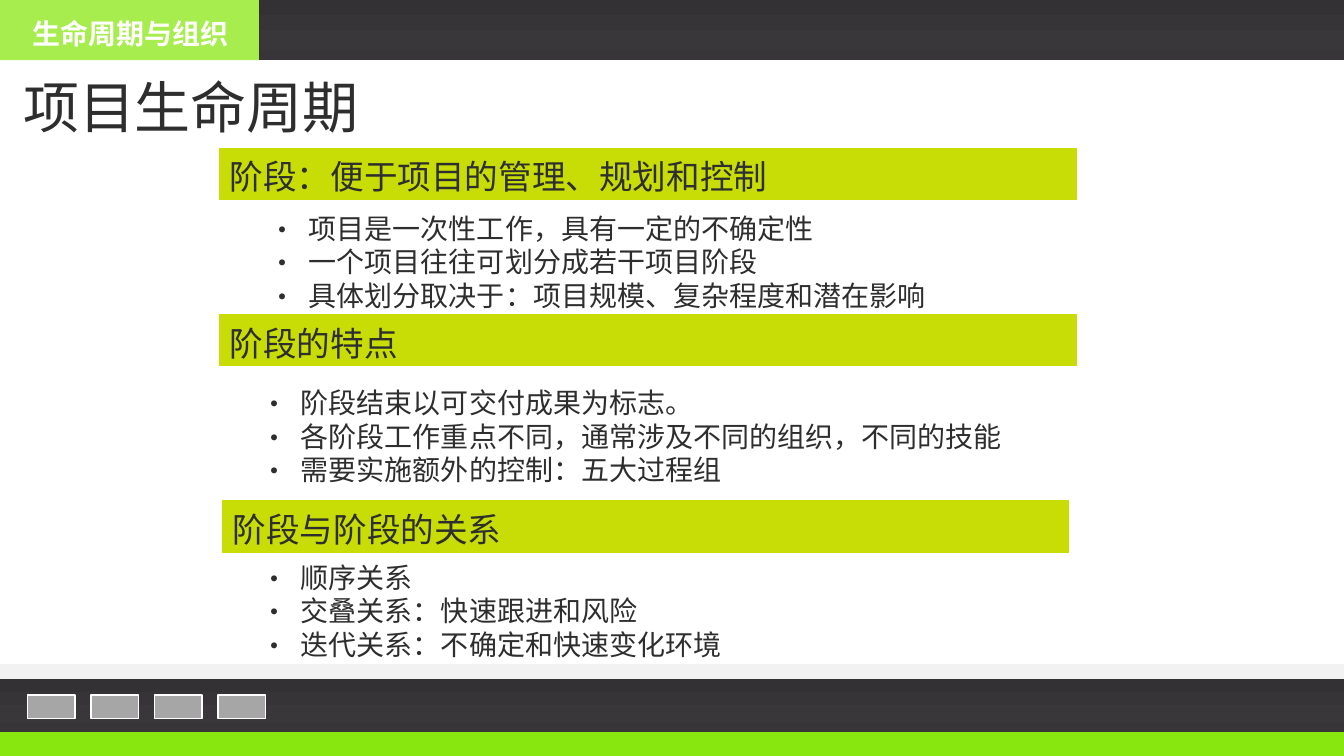
from lxml.etree import SubElement
from pptx import Presentation
from pptx.dml.color import RGBColor
from pptx.enum.shapes import MSO_SHAPE
from pptx.enum.text import MSO_ANCHOR, PP_ALIGN
from pptx.oxml.ns import qn
from pptx.util import Pt

LATIN, CJK = "Arial", "Noto Sans CJK SC"
INK, WHITE, GREEN, LIME, GREY = "2D2E2D", "FFFFFF", "88E70F", "C8DD05", "A6A6A6"
DARK_STOPS = [(0, "333134"), (74, "39373A"), (83, "373538"), (100, "363436")]
INSET = 3.6
BULLET_INDENT = 28.5

# heading box, heading, list position, list items
SECTIONS = [
    ((157, 105.8, 612, 36.7), "阶段：便于项目的管理、规划和控制", (185, 145.4),
     ["项目是一次性工作，具有一定的不确定性",
      "一个项目往往可划分成若干项目阶段",
      "具体划分取决于：项目规模、复杂程度和潜在影响"]),
    ((157, 224.6, 612, 36.7), "阶段的特点", (179.3, 270),
     ["阶段结束以可交付成果为标志。",
      "各阶段工作重点不同，通常涉及不同的组织，不同的技能",
      "需要实施额外的控制：五大过程组"]),
    ((159.1, 357.8, 604, 36.7), "阶段与阶段的关系", (179.3, 394.6),
     ["顺序关系",
      "交叠关系：快速跟进和风险",
      "迭代关系：不确定和快速变化环境"]),
]


def color(value):
    return RGBColor.from_string(value)


def add_rect(slide, box, fill=None, line=None, line_width=0.75):
    rect = slide.shapes.add_shape(MSO_SHAPE.RECTANGLE, *map(Pt, box))
    rect.shadow.inherit = False
    if fill:
        rect.fill.solid()
        rect.fill.fore_color.rgb = color(fill)
    if line:
        rect.line.color.rgb = color(line)
        rect.line.width = Pt(line_width)
    else:
        rect.line.fill.background()
    return rect


def add_dark_bar(slide, box):
    bar = add_rect(slide, box)
    bar.fill.gradient()
    bar.fill.gradient_angle = 270
    stops = bar.fill._fill._gradFill.find(qn("a:gsLst"))
    for stop in list(stops):
        stops.remove(stop)
    for percent, value in DARK_STOPS:
        stop = SubElement(stops, qn("a:gs"), pos=str(percent * 1000))
        SubElement(stop, qn("a:srgbClr"), val=value)


def set_transparency(rect, opacity):
    srgb = rect.fill._xPr.find(qn("a:solidFill")).find(qn("a:srgbClr"))
    SubElement(srgb, qn("a:alpha"), val=str(opacity * 1000))


def add_bullet(paragraph):
    properties = paragraph._p.get_or_add_pPr()
    indent = Pt(BULLET_INDENT)
    properties.set("marL", str(indent))
    properties.set("indent", str(-indent))
    SubElement(properties, qn("a:buFont"), typeface=CJK)
    SubElement(properties, qn("a:buChar"), char="•")


def write(shape, lines, size, ink=INK, bold=False, align=PP_ALIGN.LEFT,
          wrap=True, bullets=False):
    """Fill a shape with lines 1.2 em apart, first baseline 1 em down."""
    frame = shape.text_frame
    frame.word_wrap = wrap
    frame.vertical_anchor = MSO_ANCHOR.TOP
    frame.margin_top = Pt(INSET + 0.09 * size)
    frame.margin_bottom = 0
    for index, line in enumerate(lines):
        paragraph = frame.add_paragraph() if index else frame.paragraphs[0]
        paragraph.alignment = align
        paragraph.line_spacing = Pt(1.2 * size)
        if bullets:
            add_bullet(paragraph)
        run = paragraph.add_run()
        run.text = line
        run.font.size = Pt(size)
        run.font.bold = bold
        run.font.color.rgb = color(ink)
        run.font.name = LATIN
        SubElement(run._r.get_or_add_rPr(), qn("a:ea"), typeface=CJK)


def add_text(slide, box, lines, size, **style):
    write(slide.shapes.add_textbox(*map(Pt, box)), lines, size, **style)


def add_frame(slide):
    """Draw the header, the page and the footer."""
    slide.background.fill.solid()
    slide.background.fill.fore_color.rgb = color("F2F2F2")
    add_rect(slide, (0, 0, 960, 474.5), WHITE)
    add_rect(slide, (0, 522.7, 960, 17.3), GREEN)
    add_dark_bar(slide, (0, 485.3, 960, 37.4))
    tab = add_rect(slide, (0, 0, 185, 43), GREEN)
    set_transparency(tab, 74)
    add_dark_bar(slide, (185, 0, 775, 43))
    for index in range(4):
        add_rect(slide, (19.6 + 45.4 * index, 496.3, 34, 17), GREY, WHITE, 1.2)


def main():
    deck = Presentation()
    deck.slide_width, deck.slide_height = Pt(960), Pt(540)
    slide = deck.slides.add_slide(deck.slide_layouts[6])
    add_frame(slide)
    add_text(slide, (9.4, 44.6, 254, 55.4), ["项目生命周期"], 40, wrap=False)
    for heading_box, heading, (left, top), items in SECTIONS:
        write(add_rect(slide, heading_box, LIME, LIME), [heading], 24)
        add_text(slide, (left, top, 595.4, 79.2), items, 20, bullets=True)
    add_text(slide, (1.4, 6.5, 184, 31), ["生命周期与组织"], 20,
             ink=WHITE, bold=True, align=PP_ALIGN.CENTER)
    deck.save("out.pptx")


if __name__ == "__main__":
    main()
